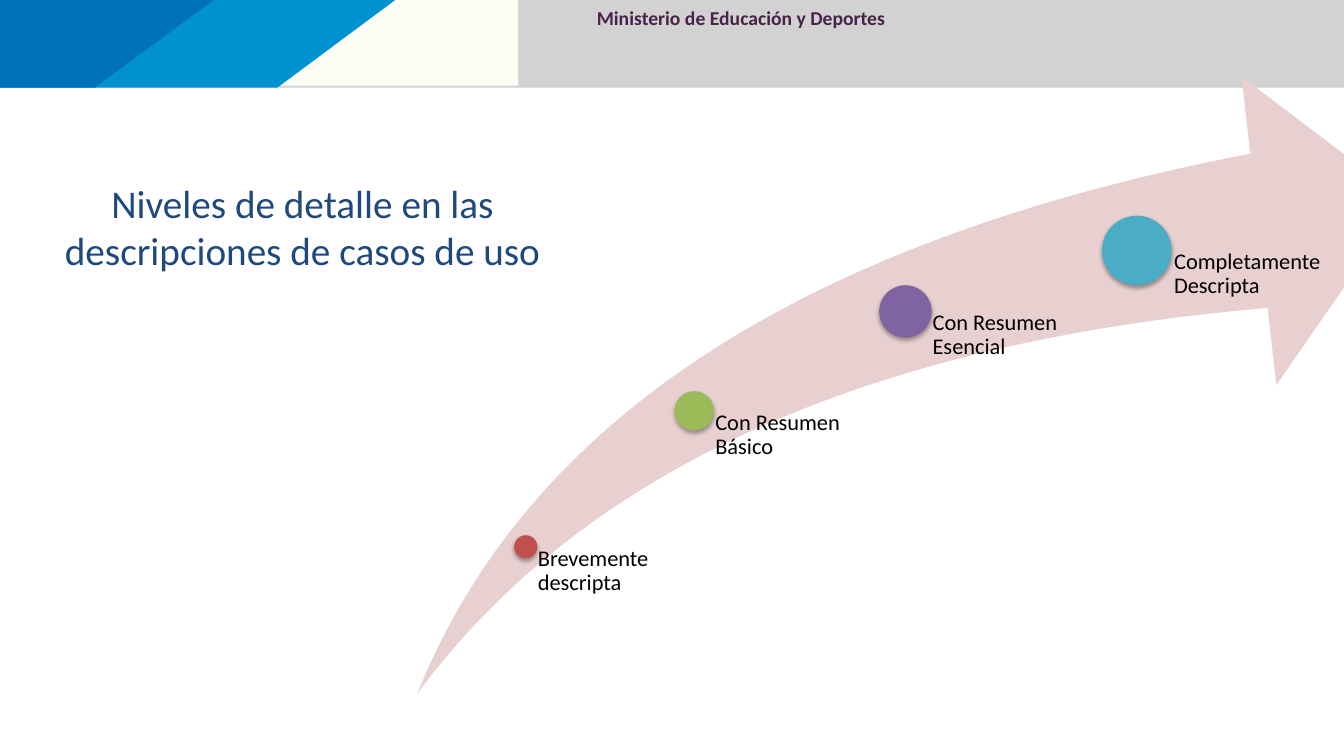
from lxml import etree
from pptx import Presentation
from pptx.dml.color import RGBColor
from pptx.enum.shapes import MSO_SHAPE as Shape
from pptx.enum.text import MSO_AUTO_SIZE as AutoSize, PP_ALIGN as Align
from pptx.oxml import parse_xml
from pptx.util import Inches, Pt

# Content
HEADER = "Ministerio de Educación y Deportes"
TITLE = "Niveles de detalle en las descripciones de casos de uso"
# label, dot colour, dot left, dot top, dot diameter, label width, label indent
LEVELS = [
    ("Brevemente descripta", "C0504D", 5.10, 5.31, 0.23, 1.67, 0.12),
    ("Con Resumen Básico", "9BBB59", 6.69, 3.88, 0.39, 2.05, 0.21),
    ("Con Resumen Esencial", "8064A2", 8.72, 2.83, 0.52, 2.05, 0.27),
    ("Completamente Descripta", "4BACC6", 10.93, 2.14, 0.69, 2.05, 0.37),
]
# colour, top width, bottom width
SLANTED_BANDS = [("0091D1", 3.92, 2.75), ("0071BB", 2.12, 0.94)]

THEME = {
    "font": "Calibri",
    "bar": "D2D2D3", "cream": "FCFBF4", "arrow": "E8D0D0",
    "header": "492249", "title": "1F497D", "label": "000000",
    "header_size": 14, "title_size": 28, "label_size": 16,
}
SLIDE_W, SLIDE_H, BAR_H = 13.33, 7.5, 0.87
ARROW = (4.14, 0.76, 9.79, 6.12)
ARROW_BOTTOM = ARROW[1] + ARROW[3]
DOT_SHADOW = (
    '<a:effectLst xmlns:a="http://schemas.openxmlformats.org/drawingml/2006/main">'
    '<a:outerShdw blurRad="40000" dist="23000" dir="5400000" rotWithShape="0">'
    '<a:srgbClr val="000000"><a:alpha val="35000"/></a:srgbClr>'
    '</a:outerShdw></a:effectLst>'
)


def paint(sp, color):
    sp.shadow.inherit = False
    sp.fill.solid()
    sp.fill.fore_color.rgb = RGBColor.from_string(color)
    sp.line.fill.background()
    return sp


def add_block(slide, kind, box, color):
    return paint(slide.shapes.add_shape(kind, *map(Inches, box)), color)


def add_text(slide, box, text, role, align=Align.LEFT, bold=False, insets=(0, 0, 0, 0)):
    tf = slide.shapes.add_textbox(*map(Inches, box)).text_frame
    tf.word_wrap = True
    tf.margin_left, tf.margin_top, tf.margin_right, tf.margin_bottom = map(Inches, insets)
    tf.text = text
    p = tf.paragraphs[0]
    p.alignment = align
    font = p.runs[0].font
    font.name, font.size, font.bold = THEME["font"], Pt(THEME[role + "_size"]), bold
    font.color.rgb = RGBColor.from_string(THEME[role])
    return tf


def add_header(slide):
    add_block(slide, Shape.RECTANGLE, (0, 0, SLIDE_W, BAR_H), THEME["bar"])
    add_block(slide, Shape.RECTANGLE, (0, -0.02, 5.14, BAR_H), THEME["cream"])
    for color, top_w, bottom_w in SLANTED_BANDS:
        fb = slide.shapes.build_freeform(Inches(top_w), 0)
        fb.add_line_segments([(0, 0), (0, Inches(BAR_H)), (Inches(bottom_w), Inches(BAR_H))])
        paint(fb.convert_to_shape(), color)
    tf = add_text(slide, (5.81, -0.03, 3.08, 0.36), HEADER, "header",
                  Align.CENTER, True, (0.1, 0.05, 0.1, 0.05))
    tf.word_wrap = False
    tf.auto_size = AutoSize.SHAPE_TO_FIT_TEXT
    tf.paragraphs[0].line_spacing = 1.15
    tf.paragraphs[0].space_after = Pt(6)


def add_level(slide, label, color, left, top, size, width, indent):
    dot = add_block(slide, Shape.OVAL, (left, top, size, size), color)
    props = dot._element.spPr
    props.replace(props.find("{*}effectLst"), parse_xml(DOT_SHADOW))
    # The label box starts at the dot's centre and ends with the arrow
    x, y = left + size / 2, top + size / 2
    tf = add_text(slide, (x, y, width, ARROW_BOTTOM - y), label, "label",
                  insets=(indent, 0, 0.1, 0))
    tf.paragraphs[0].line_spacing = 0.9


def main():
    prs = Presentation()
    prs.slide_width, prs.slide_height = Inches(SLIDE_W), Inches(SLIDE_H)
    slide = prs.slides.add_slide(prs.slide_layouts[6])

    # Header band and title
    add_header(slide)
    add_text(slide, (0.6, 1.78, 4.8, 1.15), TITLE, "title", Align.CENTER)

    # Rising arrow with its levels
    arrow = add_block(slide, Shape.SWOOSH_ARROW, ARROW, THEME["arrow"])
    arrow.adjustments[0] = arrow.adjustments[1] = 0.25
    for level in LEVELS:
        add_level(slide, *level)

    prs.save("out.pptx")


if __name__ == "__main__":
    main()
